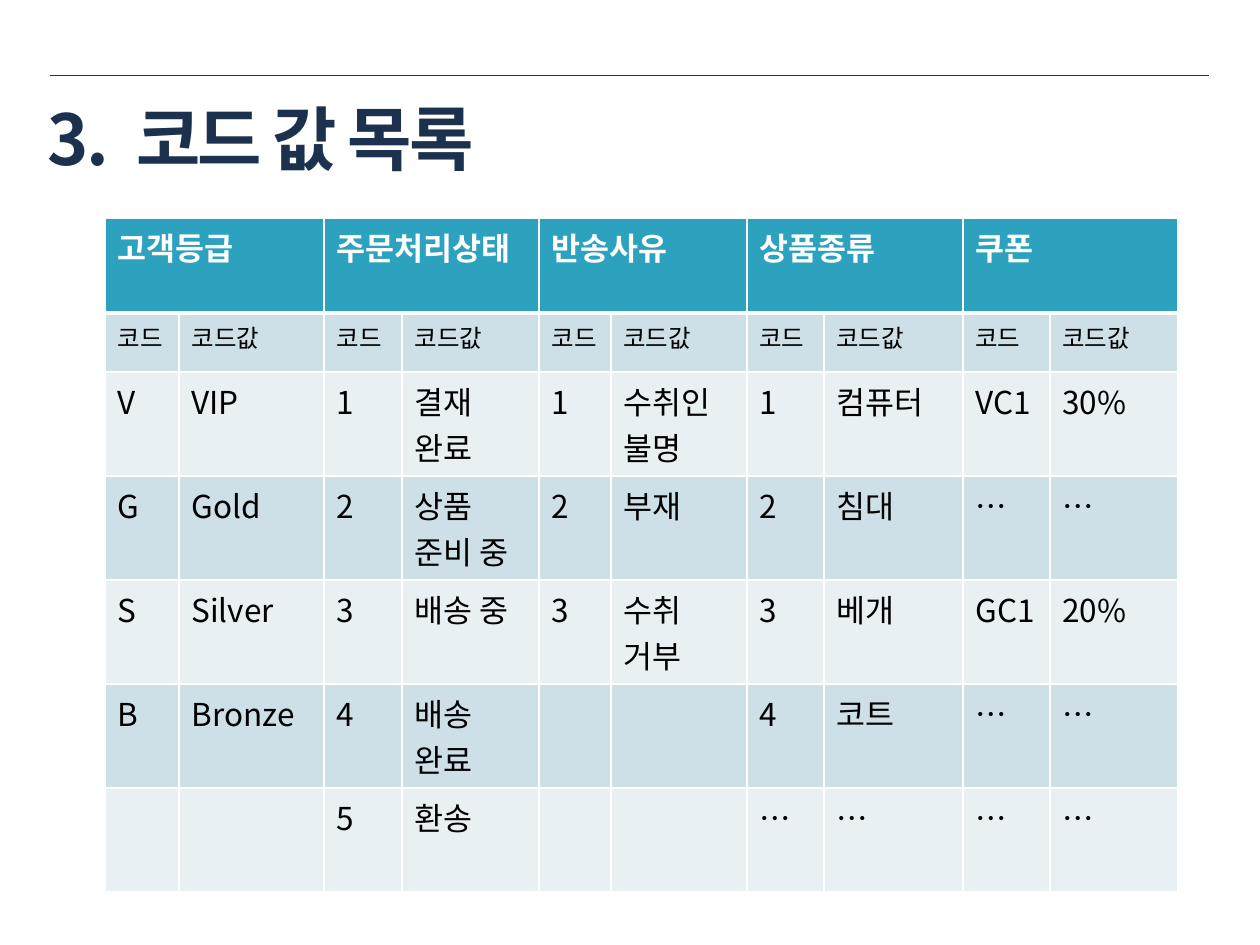
from lxml import etree
from pptx import Presentation
from pptx.dml.color import RGBColor
from pptx.enum.shapes import MSO_CONNECTOR
from pptx.enum.text import MSO_ANCHOR, MSO_AUTO_SIZE, PP_ALIGN
from pptx.oxml.ns import qn
from pptx.util import Emu, Pt

STRAIGHT = MSO_CONNECTOR.STRAIGHT
MIDDLE = MSO_ANCHOR.MIDDLE
NO_AUTOFIT = MSO_AUTO_SIZE.NONE
LEFT = PP_ALIGN.LEFT

PX = Emu(914400 // 126)
FONT = "Noto Sans CJK KR"
NAVY = RGBColor(0x1C, 0x31, 0x4E)
TEAL = RGBColor(0x2D, 0xA2, 0xBF)
BAND_DARK = RGBColor(0xCD, 0xE0, 0xE8)
BAND_LIGHT = RGBColor(0xE8, 0xF0, 0xF4)
WHITE = RGBColor(0xFF, 0xFF, 0xFF)
BLACK = RGBColor(0x00, 0x00, 0x00)

CODE_GROUPS = ["고객등급", "주문처리상태", "반송사유", "상품종류", "쿠폰"]
CODE_ROWS = [
    ["코드", "코드값"] * len(CODE_GROUPS),
    ["V", "VIP", "1", "결재\n완료", "1", "수취인 불명", "1", "컴퓨터", "VC1", "30%"],
    ["G", "Gold", "2", "상품\n준비 중", "2", "부재", "2", "침대", "…", "…"],
    ["S", "Silver", "3", "배송 중", "3", "수취\n거부", "3", "베개", "GC1", "20%"],
    ["B", "Bronze", "4", "배송\n완료", "", "", "4", "코트", "…", "…"],
    ["", "", "5", "환송", "", "", "…", "…", "…", "…"],
]
COLUMN_WIDTHS = [74, 145, 78, 137, 72, 136, 77, 139, 87, 128]
ROW_HEIGHTS = [95, 59] + [104] * 5


def format_run(run, size, color, bold):
    """Apply the slide font, size, colour and weight to a run."""
    run.font.name = FONT
    run.font.size = Pt(size)
    run.font.color.rgb = color
    run.font.bold = bold
    etree.SubElement(run.font._element, qn("a:ea"), typeface=FONT)


def add_borders(cell, widths):
    """Give a cell white borders; widths in points by side letter."""
    properties = cell._tc.get_or_add_tcPr()
    for position, (side, width) in enumerate(widths.items()):
        border = etree.Element(qn(f"a:ln{side}"), w=str(Pt(width)))
        fill = etree.SubElement(border, qn("a:solidFill"))
        etree.SubElement(fill, qn("a:srgbClr"), val=str(WHITE))
        properties.insert(position, border)


prs = Presentation()
prs.slide_width = 1260 * PX
prs.slide_height = 945 * PX
slide = prs.slides.add_slide(prs.slide_layouts[5])

rule = slide.shapes.add_connector(STRAIGHT, 50 * PX, 75 * PX, 1209 * PX, 75 * PX)
rule.line.color.rgb = NAVY
rule.line.width = Pt(0.25)
etree.SubElement(rule._element.spPr, qn("a:effectLst"))

title = slide.shapes.title
title.left, title.top, title.width, title.height = [v * PX for v in (35, 97, 964, 81)]
title_frame = title.text_frame
title_frame.auto_size = NO_AUTOFIT
title_frame.vertical_anchor = MIDDLE
heading = title_frame.paragraphs[0]
heading.alignment = LEFT
# The space after the number is widened by letter spacing.
for words, spacing in [("3.", -150), (" ", 650), ("코드 값 목록", -150)]:
    run = heading.add_run()
    run.text = words
    format_run(run, 40, NAVY, True)
    run.font._element.set("spc", str(spacing))

code_table = slide.shapes.add_table(
    len(ROW_HEIGHTS), len(COLUMN_WIDTHS), 105 * PX, 218 * PX,
    sum(COLUMN_WIDTHS) * PX, sum(ROW_HEIGHTS) * PX).table
code_table.first_row = True
code_table.horz_banding = False
for column, width in zip(code_table.columns, COLUMN_WIDTHS):
    column.width = width * PX
for row, height in zip(code_table.rows, ROW_HEIGHTS):
    row.height = height * PX

header_texts = [text for group in CODE_GROUPS for text in (group, "")]
for r, texts in enumerate([header_texts] + CODE_ROWS):
    is_header = r == 0
    size = 14 if r == 1 else 18
    band = TEAL if is_header else BAND_DARK if r % 2 else BAND_LIGHT
    for c, text in enumerate(texts):
        cell = code_table.cell(r, c)
        cell.text = text
        cell.fill.solid()
        cell.fill.fore_color.rgb = band
        add_borders(cell, {"L": 1, "R": 1, "T": 3 if r == 1 else 1,
                           "B": 3 if is_header else 1})
        for paragraph in cell.text_frame.paragraphs:
            for run in paragraph.runs:
                format_run(run, size, WHITE if is_header else BLACK, is_header)

for c in range(0, len(COLUMN_WIDTHS), 2):
    code_table.cell(0, c).merge(code_table.cell(0, c + 1))

prs.save("out.pptx")
